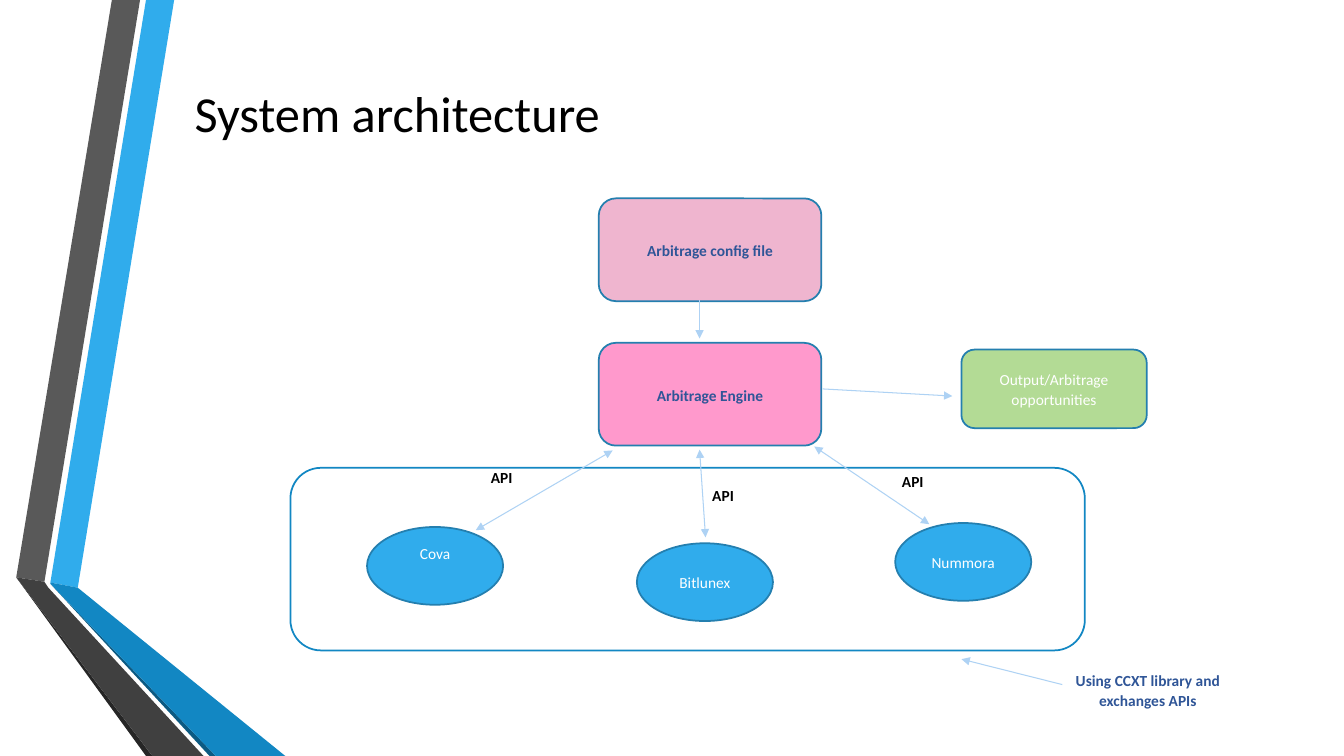
from lxml import etree
from pptx import Presentation
from pptx.dml.color import RGBColor
from pptx.enum import shapes, text
from pptx.oxml.ns import qn
from pptx.util import Cm, Pt

BLACK = RGBColor(0x00, 0x00, 0x00)
WHITE = RGBColor(0xFF, 0xFF, 0xFF)
NAVY = RGBColor(0x2F, 0x55, 0x97)
BLUE = RGBColor(0x30, 0xAC, 0xEC)
MID_BLUE = RGBColor(0x12, 0x87, 0xC3)
DEEP_BLUE = RGBColor(0x0C, 0x5A, 0x82)
OUTLINE = RGBColor(0x24, 0x7F, 0xAF)
ARROW = RGBColor(0xAE, 0xD2, 0xF4)
GRAY = RGBColor(0x59, 0x59, 0x59)
CHARCOAL = RGBColor(0x40, 0x40, 0x40)
DARK = RGBColor(0x26, 0x26, 0x26)
ROSE = RGBColor(0xEF, 0xB5, 0xCF)
PINK = RGBColor(0xFF, 0x99, 0xCC)
GREEN = RGBColor(0xB3, 0xDB, 0x95)

MIDDLE, TOP = text.MSO_ANCHOR.MIDDLE, text.MSO_ANCHOR.TOP
CENTER, LEFT = text.PP_ALIGN.CENTER, text.PP_ALIGN.LEFT
ROUND, OVAL = shapes.MSO_SHAPE.ROUNDED_RECTANGLE, shapes.MSO_SHAPE.OVAL

# Content; all lengths in cm
SLIDE_W, SLIDE_H = 33.87, 19.05
TITLE = ("System architecture", (4.11, 1.9, 11.81, 1.85))

RIBBONS = [
    (BLUE, [(1.27, 14.68), (1.96, 14.81), (4.39, 0), (3.68, 0)]),
    (GRAY, [(3.53, 0), (2.82, 0), (0.41, 14.55), (1.12, 14.66)]),
    (DARK, [(0.41, 14.55), (3.68, SLIDE_H), (3.84, SLIDE_H)]),
    (DEEP_BLUE, [(1.27, 14.71), (5.28, SLIDE_H), (5.44, SLIDE_H)]),
    (MID_BLUE, [(1.27, 14.71), (5.44, SLIDE_H), (7.19, SLIDE_H),
                (1.96, 14.81), (1.27, 14.68)]),
    (CHARCOAL, [(5.13, SLIDE_H), (1.22, 14.81), (1.12, 14.66),
                (0.41, 14.55), (3.84, SLIDE_H)]),
]

FRAME = (7.32, 11.79, 20.02, 4.6)
BOXES = [  # text, place, fill, text colour, bold
    ("Arbitrage config file", (15.09, 5, 5.61, 2.59), ROSE, NAVY, True),
    ("Arbitrage Engine", (15.09, 8.64, 5.61, 2.59), PINK, NAVY, True),
    ("Output/Arbitrage opportunities", (24.23, 8.81, 4.67, 1.98), GREEN, WHITE, False),
]

EXCHANGE_SIZE = (3.43, 1.96)
EXCHANGES = [  # name, left, top, anchor
    ("Cova", 9.25, 13.28, TOP),
    ("Bitlunex", 16.05, 13.69, MIDDLE),
    ("Nummora", 22.56, 13.18, MIDDLE),
]

API_SIZE = (1.52, 0.89)
API_SPOTS = [(12.12, 11.63), (17.7, 12.09), (22.48, 11.73)]
NOTE = ("Using CCXT library and exchanges APIs", (26.49, 16.76, 4.88, 1.6))

ARROWS = [  # from, to, arrowhead at both ends
    ((26.77, 17.25), (24.23, 16.61), False),
    ((17.63, 7.57), (17.63, 8.53), False),
    ((20.73, 9.8), (24, 9.98), False),
    ((11.99, 13.36), (15.44, 11.35), True),
    ((23.42, 13.21), (20.52, 11.25), True),
    ((17.63, 11.33), (17.78, 13.54), True),
]

prs = Presentation()
prs.slide_width, prs.slide_height = Cm(SLIDE_W), Cm(SLIDE_H)
s = prs.slides.add_slide(prs.slide_layouts[6])


def lengths(values):
    return [Cm(v) for v in values]


def write(sp, words, color, bold=False, size=11, align=CENTER, anchor=MIDDLE):
    tf = sp.text_frame
    tf.word_wrap = True
    tf.vertical_anchor = anchor
    tf.text = words
    p = tf.paragraphs[0]
    p.alignment = align
    if size == 11:
        p.line_spacing = 1.07
    font = p.runs[0].font
    font.name, font.size, font.bold = "Calibri", Pt(size), bold
    font.color.rgb = color


def add_label(words, place, color, **style):
    write(s.shapes.add_textbox(*lengths(place)), words, color, **style)


def add_node(kind, place, fill, line=OUTLINE):
    sp = s.shapes.add_shape(kind, *lengths(place))
    sp.shadow.inherit = False
    if fill is None:
        sp.fill.background()
    else:
        sp.fill.solid()
        sp.fill.fore_color.rgb = fill
    sp.line.color.rgb = line
    sp.line.width = Pt(1.25)
    return sp


def add_arrow(start, end, both):
    c = s.shapes.add_connector(shapes.MSO_CONNECTOR.STRAIGHT, *lengths(start + end))
    c.line.color.rgb = ARROW
    c.line.width = Pt(0.75)
    ln = c.line._get_or_add_ln()
    for tag in ("a:headEnd", "a:tailEnd") if both else ("a:tailEnd",):
        etree.SubElement(ln, qn(tag), type="triangle")
    etree.SubElement(c._element.spPr, qn("a:effectLst"))


# Ribbons along the left edge
for color, points in RIBBONS:
    start, *rest = [tuple(lengths(point)) for point in points]
    builder = s.shapes.build_freeform(*start)
    builder.add_line_segments(rest, close=True)
    ribbon = builder.convert_to_shape()
    ribbon.shadow.inherit = False
    ribbon.fill.solid()
    ribbon.fill.fore_color.rgb = color
    ribbon.line.fill.background()

# Title
add_label(*TITLE, BLACK, size=36)

# Boxes, exchange frame and exchanges
for words, place, fill, color, bold in BOXES:
    write(add_node(ROUND, place, fill), words, color, bold)
add_node(ROUND, FRAME, None, MID_BLUE)
for name, left, top, anchor in EXCHANGES:
    write(add_node(OVAL, (left, top) + EXCHANGE_SIZE, BLUE), name, WHITE, anchor=anchor)

# Arrows and labels
for arrow in ARROWS:
    add_arrow(*arrow)
for spot in API_SPOTS:
    add_label("API", spot + API_SIZE, BLACK, bold=True, align=LEFT, anchor=TOP)
add_label(*NOTE, NAVY, bold=True, anchor=TOP)

prs.save("out.pptx")
